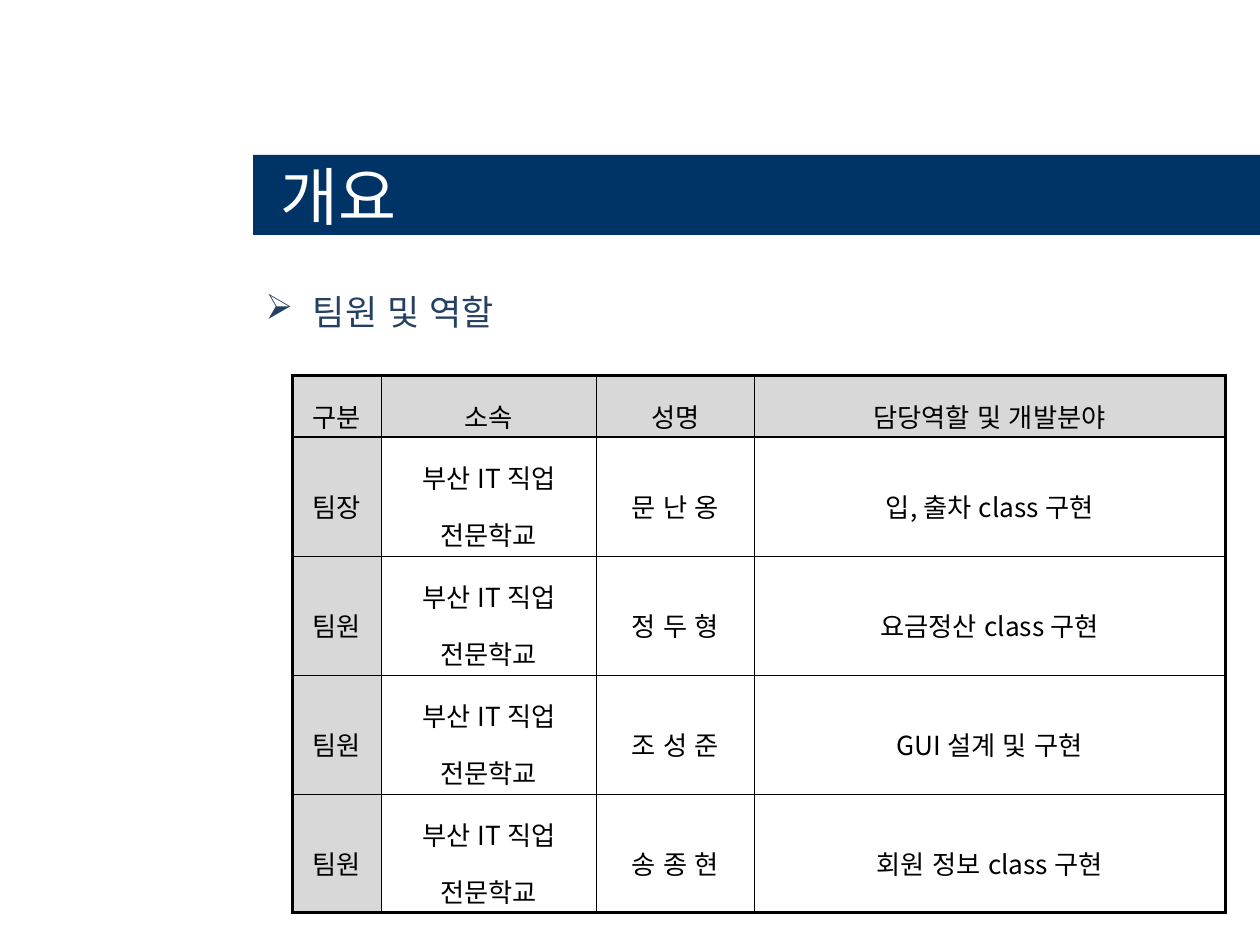
from lxml.etree import SubElement
from pptx import Presentation
from pptx.dml.color import RGBColor
from pptx.enum.lang import MSO_LANGUAGE_ID as Language
from pptx.enum.shapes import MSO_SHAPE
from pptx.enum.text import MSO_ANCHOR as Anchor, PP_ALIGN as Align
from pptx.oxml.ns import qn
from pptx.util import Pt

FONT = "Noto Sans CJK KR"
COLORS = {"banner": "003366", "white": "FFFFFF", "heading": "254061",
          "black": "000000", "label": "D8D8D8"}
THIN, THICK = 0.28, 1.7
SCHOOL = "부산 IT 직업 전문학교"
MEMBERS = [
    ("구분", "소속", "성명", "담당역할 및 개발분야"),
    ("팀장", SCHOOL, "문 난 옹", "입, 출차 class 구현"),
    ("팀원", SCHOOL, "정 두 형", "요금정산 class 구현"),
    ("팀원", SCHOOL, "조 성 준", "GUI 설계 및 구현"),
    ("팀원", SCHOOL, "송 종 현", "회원 정보 class 구현"),
]
COLUMN_WIDTHS = (50.5, 123.3, 90, 269.3)
ROW_HEIGHTS = (35.3,) + (68,) * 4


def rgb(name):
    """Return the named colour."""
    return RGBColor.from_string(COLORS[name])


def write(frame, text, size, color, align=Align.LEFT):
    """Put one formatted paragraph in a text frame and return it."""
    frame.word_wrap = True
    frame.text = text
    paragraph = frame.paragraphs[0]
    paragraph.alignment = align
    font = paragraph.runs[0].font
    font.size, font.name = Pt(size), FONT
    font.language_id = Language.KOREAN
    font.color.rgb = rgb(color)
    SubElement(font._element, qn("a:ea"), typeface=FONT)
    return paragraph


def set_border(cell, side, width):
    """Draw one black border; side is L, R, T or B."""
    line = SubElement(cell._tc.get_or_add_tcPr(), qn(f"a:ln{side}"),
                      w=str(Pt(width)))
    fill = SubElement(line, qn("a:solidFill"))
    SubElement(fill, qn("a:srgbClr"), val=COLORS["black"])


def add_banner(slide, left, top, width, height):
    """Draw the title bar."""
    banner = slide.shapes.add_shape(
        MSO_SHAPE.RECTANGLE, Pt(left), Pt(top), Pt(width), Pt(height))
    banner.shadow.inherit = False
    banner.fill.solid()
    banner.fill.fore_color.rgb = rgb("banner")
    banner.line.fill.background()
    frame = banner.text_frame
    frame.vertical_anchor = Anchor.MIDDLE
    frame.margin_left = Pt(15.8)
    write(frame, "개요", 36, "white")


def add_heading(slide, left, top, width, height):
    """Write the bulleted heading above the table."""
    box = slide.shapes.add_textbox(Pt(left), Pt(top), Pt(width), Pt(height))
    heading = write(box.text_frame, "팀원 및 역할", 20, "heading")
    heading.space_before = Pt(4)
    properties = heading._p.get_or_add_pPr()
    properties.set("marL", str(Pt(27)))
    properties.set("indent", str(Pt(-27)))
    SubElement(properties, qn("a:buFont"), typeface="Wingdings", charset="2")
    SubElement(properties, qn("a:buChar"), char="Ø")


def add_member_table(slide, left, top):
    """Build the table of members and roles."""
    rows, columns = len(ROW_HEIGHTS), len(COLUMN_WIDTHS)
    table = slide.shapes.add_table(
        rows, columns, Pt(left), Pt(top),
        Pt(sum(COLUMN_WIDTHS)), Pt(sum(ROW_HEIGHTS))).table
    table.first_row = table.horz_banding = False
    for column, width in zip(table.columns, COLUMN_WIDTHS):
        column.width = Pt(width)
    for r, (row, member) in enumerate(zip(table.rows, MEMBERS)):
        row.height = Pt(ROW_HEIGHTS[r])
        for c, text in enumerate(member):
            cell = table.cell(r, c)
            cell.vertical_anchor = Anchor.MIDDLE
            cell.margin_left = cell.margin_right = Pt(5.1)
            cell.margin_top = cell.margin_bottom = Pt(1.4)
            thick_sides = {"L": c == 0, "R": c == columns - 1,
                           "T": r <= 1, "B": r in (0, rows - 1)}
            for side, thick in thick_sides.items():
                set_border(cell, side, THICK if thick else THIN)
            if r == 0 or c == 0:
                cell.fill.solid()
                cell.fill.fore_color.rgb = rgb("label")
            else:
                cell.fill.background()
            paragraph = write(cell.text_frame, text, 15, "black", Align.CENTER)
            paragraph.line_spacing = 1.5


def build_team_slide(deck):
    """Add the slide on team members and roles."""
    slide = deck.slides.add_slide(deck.slide_layouts[6])
    add_banner(slide, 144.7, 88.5, 576, 45.8)
    add_heading(slide, 144.7, 162.4, 538.6, 40)
    add_member_table(slide, 167.1, 214.4)


deck = Presentation()
deck.slide_width, deck.slide_height = Pt(720), Pt(540)
build_team_slide(deck)
deck.save("out.pptx")
